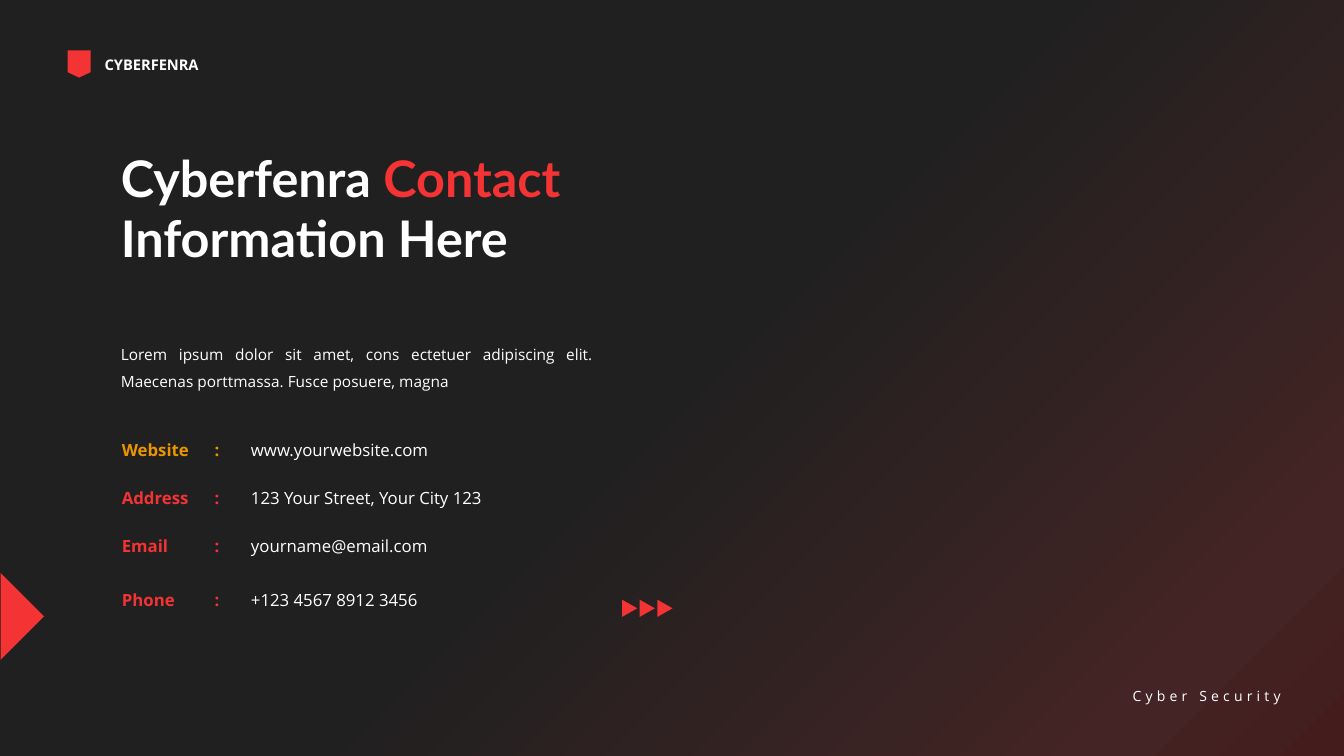
"""Build a dark contact information slide for a cyber security deck."""
import dataclasses
import typing

import lxml.etree
import pptx
import pptx.dml.color
import pptx.enum.shapes
import pptx.enum.text
import pptx.oxml.ns
import pptx.shapes.autoshape
import pptx.slide
import pptx.util

Inches = pptx.util.Inches
Align = pptx.enum.text.PP_ALIGN
Shape = pptx.enum.shapes.MSO_SHAPE
qn = pptx.oxml.ns.qn

COLORS = {
    "red": "F43334",
    "amber": "EB9500",
    "white": "FFFFFF",
    "dark": "202020",
    "maroon": "442424",
    "deep_maroon": "441C1C",
}
BACKGROUND_STOPS = ((0, "dark"), (50, "dark"), (88, "maroon"), (100, "deep_maroon"))
ROW_HEIGHT = 0.3
ARROW_COUNT = 3
ARROW_PITCH = 0.175


@dataclasses.dataclass(frozen=True)
class Contact:
    label: str
    value: str
    top: float
    color: str = "red"


@dataclasses.dataclass(frozen=True)
class Box:
    left: float
    top: float
    width: float
    height: float

    def lengths(self) -> tuple[int, ...]:
        return tuple(Inches(side) for side in dataclasses.astuple(self))


CONTACTS = (
    Contact("Website", "www.yourwebsite.com", 4.31, "amber"),
    Contact("Address", "123 Your Street, Your City 123", 4.79),
    Contact("Email", "yourname@email.com", 5.27),
    Contact("Phone", "+123 4567 8912 3456", 5.8),
)


def rgb(name: str) -> pptx.dml.color.RGBColor:
    return pptx.dml.color.RGBColor.from_string(COLORS[name])


def add_text(
    slide: pptx.slide.Slide,
    box: Box,
    *parts: tuple[str, str],
    size: float = 12,
    font: str = "Open Sans",
    bold: bool = False,
    wrap: bool = True,
    align: typing.Optional[Align] = None,
    line_spacing: typing.Optional[float] = None,
    letter_spacing: float = 0,
) -> None:
    frame = slide.shapes.add_textbox(*box.lengths()).text_frame
    frame.word_wrap = wrap
    frame.auto_size = pptx.enum.text.MSO_AUTO_SIZE.SHAPE_TO_FIT_TEXT
    paragraph = frame.paragraphs[0]
    paragraph.alignment = align
    paragraph.line_spacing = line_spacing
    for text, color in parts:
        run = paragraph.add_run()
        run.text = text
        run.font.name = font
        run.font.size = pptx.util.Pt(size)
        run.font.bold = bold
        run.font.color.rgb = rgb(color)
        if letter_spacing:
            run._r.get_or_add_rPr().set("spc", str(round(letter_spacing * 100)))


def add_red_shape(
    slide: pptx.slide.Slide, kind: Shape, box: Box, rotation: float = 0
) -> pptx.shapes.autoshape.Shape:
    shape = slide.shapes.add_shape(kind, *box.lengths())
    shape.rotation = rotation
    shape.shadow.inherit = False
    shape.fill.solid()
    shape.fill.fore_color.rgb = rgb("red")
    shape.line.fill.background()
    return shape


def paint_background(slide: pptx.slide.Slide) -> None:
    fill = slide.background.fill
    fill.gradient()
    fill.gradient_angle = 315
    stops = next(slide.element.iter(qn("a:gsLst")))
    for stop in list(stops):
        stops.remove(stop)
    for percent, color in BACKGROUND_STOPS:
        stop = lxml.etree.SubElement(stops, qn("a:gs"), pos=str(percent * 1000))
        lxml.etree.SubElement(stop, qn("a:srgbClr"), val=COLORS[color])


def add_contact(slide: pptx.slide.Slide, contact: Contact) -> None:
    cells = (
        (1.11, 1.05, contact.label, contact.color, True),
        (2.03, 0.35, ":", contact.color, True),
        (2.39, 2.98, contact.value, "white", False),
    )
    for left, width, text, color, bold in cells:
        box = Box(left, contact.top, width, ROW_HEIGHT)
        add_text(slide, box, (text, color), bold=bold)


def main() -> None:
    presentation = pptx.Presentation()
    presentation.slide_width = Inches(13.33)
    presentation.slide_height = Inches(7.5)
    slide = presentation.slides.add_slide(presentation.slide_layouts[6])
    paint_background(slide)

    add_red_shape(slide, Shape.FLOWCHART_OFFPAGE_CONNECTOR, Box(0.67, 0.5, 0.23, 0.27))
    add_text(slide, Box(0.94, 0.5, 1.18, 0.28), ("CYBERFENRA", "white"),
             size=10.5, bold=True, wrap=False)
    add_text(slide, Box(11.01, 6.77, 1.79, 0.27), ("Cyber Security", "white"),
             size=10, wrap=False, align=Align.RIGHT, letter_spacing=3)
    add_red_shape(slide, Shape.RIGHT_TRIANGLE, Box(-0.3, 5.81, 0.61, 0.61), 225)

    add_text(slide, Box(1.1, 1.41, 4.86, 1.31), ("Cyberfenra ", "white"),
             ("Contact", "red"), (" Information Here", "white"),
             size=36, font="Lato", bold=True)
    add_text(slide, Box(1.1, 3.28, 4.88, 0.66),
             ("Lorem ipsum dolor sit amet, cons ectetuer adipiscing elit. "
              "Maecenas porttmassa. Fusce posuere, magna", "white"),
             size=11, align=Align.JUSTIFY, line_spacing=1.5)
    for contact in CONTACTS:
        add_contact(slide, contact)
    for index in range(ARROW_COUNT):
        box = Box(6.16 + index * ARROW_PITCH, 5.96, 0.17, 0.15)
        add_red_shape(slide, Shape.ISOSCELES_TRIANGLE, box, 90)

    presentation.save("out.pptx")


if __name__ == "__main__":
    main()
